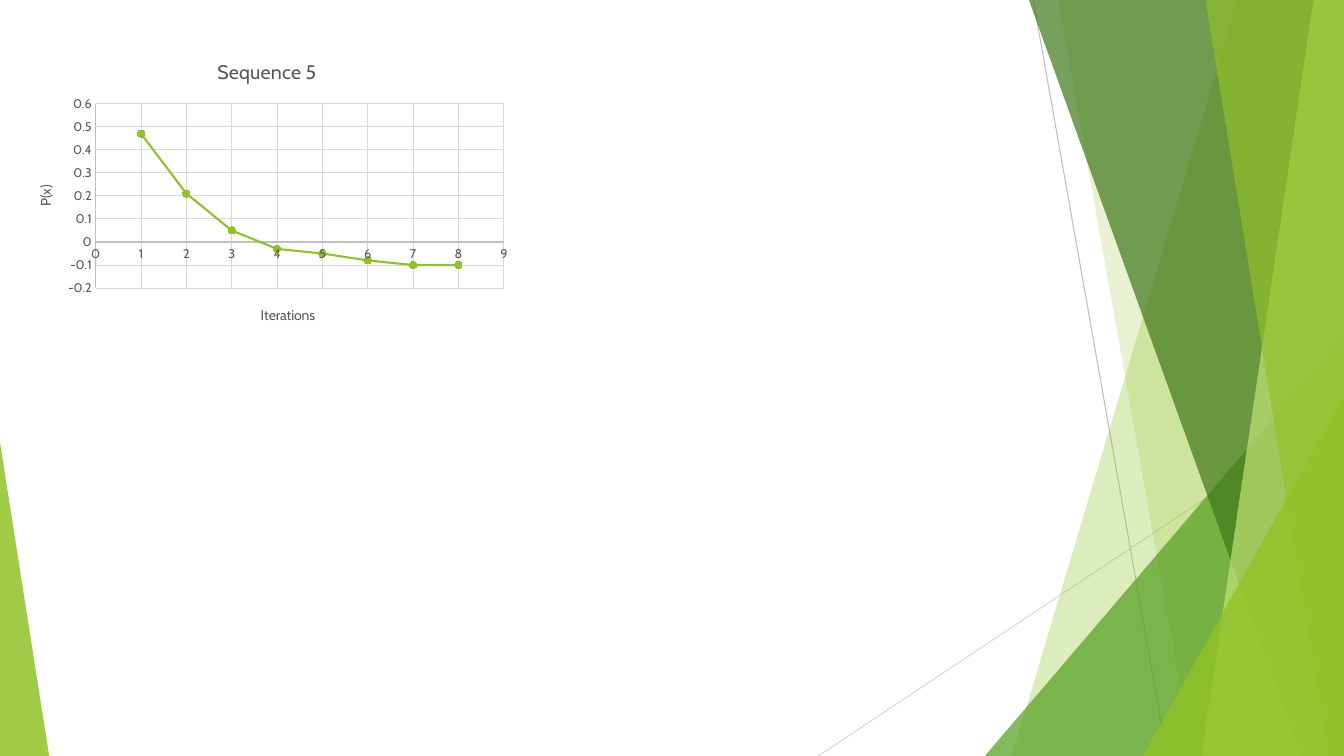
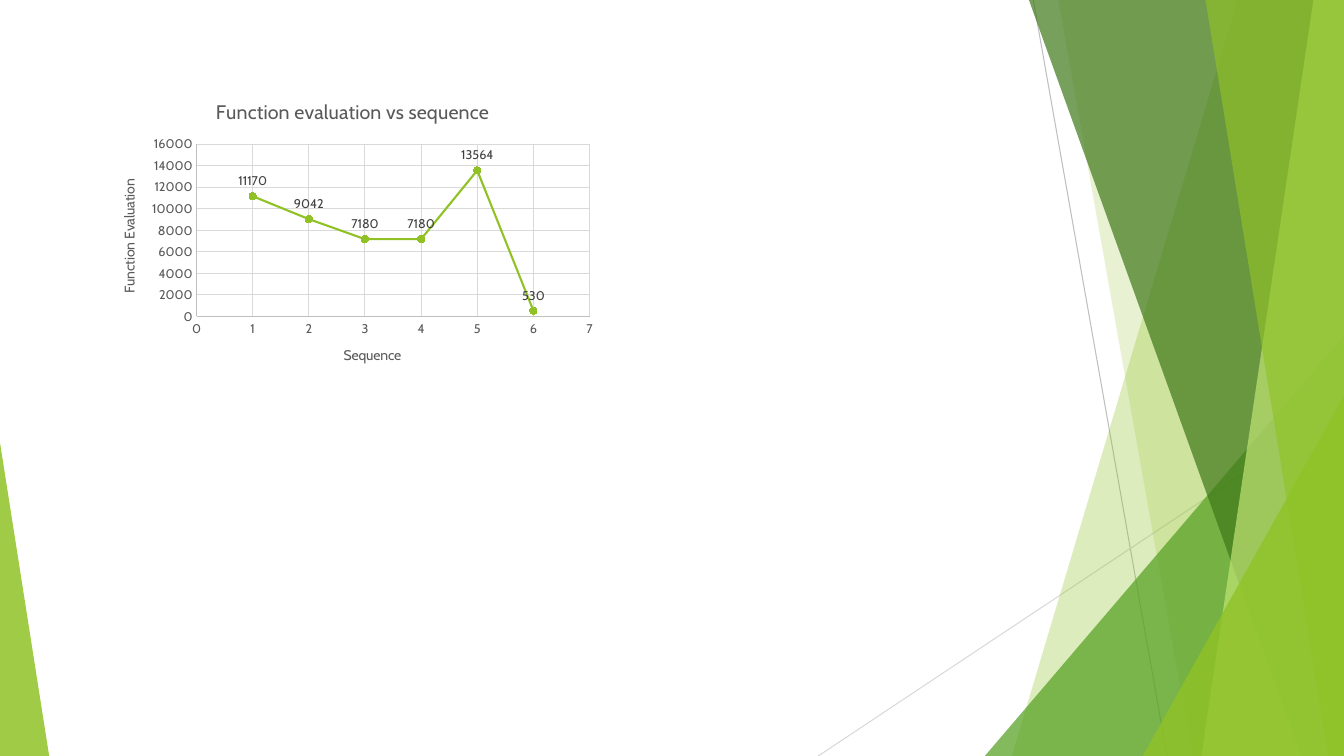
from dataclasses import dataclass

from lxml import etree
from pptx import Presentation
from pptx.chart.axis import ValueAxis
from pptx.chart.chart import Chart
from pptx.chart.data import XyChartData
from pptx.dml.color import RGBColor
from pptx.enum.chart import XL_CHART_TYPE as ChartType
from pptx.enum.chart import XL_LABEL_POSITION as LabelPosition
from pptx.enum.chart import XL_MARKER_STYLE as MarkerStyle
from pptx.enum.chart import XL_TICK_MARK as TickMark
from pptx.enum.shapes import MSO_CONNECTOR as Connector
from pptx.enum.shapes import MSO_SHAPE as Preset
from pptx.oxml.ns import qn
from pptx.slide import Slide, SlideLayout
from pptx.util import Cm, Pt

WIDTH, HEIGHT = 33.87, 19.05  # slide size in cm


# Theme
@dataclass(frozen=True)
class Theme:
    font: str = "Cabin"
    lime: str = "90C226"
    pale_lime: str = "C0E474"
    green: str = "54A021"
    dark_green: str = "3F7819"
    axis: str = "BFBFBF"
    grid: str = "D9D9D9"
    text: str = "595959"
    label: str = "404040"
    title_size: float = 14
    axis_title_size: float = 10
    tick_size: float = 9
    hairline: float = 0.75
    curve: float = 1.5
    marker: int = 5


THEME = Theme()


# Repeated elements, lengths in cm
@dataclass(frozen=True)
class Ray:
    start: tuple[float, float]
    end: tuple[float, float]
    color: str


@dataclass(frozen=True)
class Facet:
    """Full-height panel from a slanted left side to the right slide edge."""
    top_x: float
    bottom_x: float
    color: str
    opacity: int


@dataclass(frozen=True)
class Wedge:
    """Right triangle standing on the bottom slide edge."""
    left: float
    top: float
    width: float
    apex: float
    color: str
    opacity: int


@dataclass(frozen=True)
class AxisScale:
    title: str
    low: float
    high: float
    step: float


@dataclass(frozen=True)
class PlotBox:
    """Inner plot area as fractions of the chart."""
    x: float
    y: float
    w: float
    h: float


@dataclass(frozen=True)
class CurveChart:
    title: str
    left: float
    top: float
    x_axis: AxisScale
    y_axis: AxisScale
    plot_box: PlotBox
    values: tuple[float, ...]
    labelled: bool = False


RAYS = (
    Ray((26.04, 0), (29.41, HEIGHT), THEME.axis),
    Ray((WIDTH, 10.24), (20.62, HEIGHT), THEME.grid),
)
PANELS = (
    Facet(31.19, 25.5, THEME.lime, 30),
    Facet(26.67, 30.05, THEME.lime, 20),
    Wedge(24.82, 8.46, 9.05, 1, THEME.green, 72),
    Facet(25.93, 32.79, THEME.dark_green, 70),
    Facet(33.1, 30.28, THEME.pale_lime, 70),
    Facet(30.38, 33.48, THEME.lime, 65),
    Wedge(28.8, 9.98, 5.07, 1, THEME.lime, 80),
    Wedge(0, 11.15, 1.24, 0, THEME.lime, 85),
)
CHART_WIDTH, CHART_HEIGHT = 12.7, 7.62
CHARTS = (
    CurveChart(
        "Sequence 5", 0.38, 1.09,
        AxisScale("Iterations", 0, 9, 1),
        AxisScale("P(x)", -0.2, 0.6, 0.1),
        PlotBox(0.16, 0.2, 0.81, 0.61),
        (0.47, 0.21, 0.05, -0.03, -0.05, -0.08, -0.1, -0.1),
    ),
    CurveChart(
        "Function evaluation vs sequence", 2.54, 2.11,
        AxisScale("Sequence", 0, 7, 1),
        AxisScale("Function Evaluation", 0, 16000, 2000),
        PlotBox(0.19, 0.2, 0.78, 0.57),
        (11170, 9042, 7180, 7180, 13564, 530),
        labelled=True,
    ),
)


def rgb(color: str) -> RGBColor:
    return RGBColor.from_string(color)


# Background
def draw_ray(slide: Slide, ray: Ray):
    line = slide.shapes.add_connector(
        Connector.STRAIGHT, *(Cm(v) for v in ray.start + ray.end))
    style_line(line.line, ray.color, THEME.hairline)
    etree.SubElement(line.element.spPr, qn("a:effectLst"))
    return line


def draw_panel(slide: Slide, panel: Facet | Wedge):
    if isinstance(panel, Facet):
        outline = slide.shapes.build_freeform(Cm(panel.top_x), 0)
        corners = ((WIDTH, 0), (WIDTH, HEIGHT), (panel.bottom_x, HEIGHT))
        outline.add_line_segments([(Cm(x), Cm(y)) for x, y in corners])
        shape = outline.convert_to_shape()
    else:
        shape = slide.shapes.add_shape(
            Preset.ISOSCELES_TRIANGLE, Cm(panel.left), Cm(panel.top),
            Cm(panel.width), Cm(HEIGHT - panel.top))
        shape.adjustments[0] = panel.apex
    shape.shadow.inherit = False
    shape.line.fill.background()
    shape.fill.solid()
    shape.fill.fore_color.rgb = rgb(panel.color)
    tint = shape.element.spPr.find(".//" + qn("a:srgbClr"))
    etree.SubElement(tint, qn("a:alpha"), val=str(panel.opacity * 1000))
    return shape


def decorate_layout(layout: SlideLayout, slide: Slide) -> None:
    """Draw the background on a slide, then move it to the shared layout."""
    tree = layout.element.cSld.spTree
    for placeholder in list(layout.placeholders):
        tree.remove(placeholder.element)
    backdrop = [draw_ray(slide, ray) for ray in RAYS]
    backdrop += [draw_panel(slide, panel) for panel in PANELS]
    for part in backdrop:
        tree.append(part.element)


# Charts
def style_line(line, color: str, width: float) -> None:
    line.color.rgb = rgb(color)
    line.width = Pt(width)


def style_font(font, size: float, color: str) -> None:
    font.name = THEME.font
    font.size = Pt(size)
    font.bold = False
    font.color.rgb = rgb(color)


def write_title(title, text: str, size: float) -> None:
    run = title.text_frame.paragraphs[0].add_run()
    run.text = text
    style_font(run.font, size, THEME.text)


def style_axis(axis: ValueAxis, scale: AxisScale) -> None:
    axis.minimum_scale, axis.maximum_scale = scale.low, scale.high
    axis.major_unit = scale.step
    axis.major_tick_mark = axis.minor_tick_mark = TickMark.NONE
    axis.has_major_gridlines = True
    style_line(axis.major_gridlines.format.line, THEME.grid, THEME.hairline)
    style_line(axis.format.line, THEME.axis, THEME.hairline)
    style_font(axis.tick_labels.font, THEME.tick_size, THEME.text)
    axis.tick_labels.number_format = "General"
    axis.tick_labels.number_format_is_linked = False
    write_title(axis.axis_title, scale.title, THEME.axis_title_size)


def place_plot(chart: Chart, box: PlotBox) -> None:
    plot_area = chart.element.chart.plotArea
    for old in plot_area.findall(qn("c:layout")):
        plot_area.remove(old)
    layout = etree.Element(qn("c:layout"))
    plot_area.insert(0, layout)
    manual = etree.SubElement(layout, qn("c:manualLayout"))
    settings = {"layoutTarget": "inner", "xMode": "edge", "yMode": "edge",
                "x": box.x, "y": box.y, "w": box.w, "h": box.h}
    for tag, value in settings.items():
        etree.SubElement(manual, qn(f"c:{tag}"), val=str(value))


def style_curve(chart: Chart, content: CurveChart) -> None:
    curve = chart.plots[0].series[0]
    curve.smooth = False
    style_line(curve.format.line, THEME.lime, THEME.curve)
    curve.marker.style = MarkerStyle.CIRCLE
    curve.marker.size = THEME.marker
    curve.marker.format.fill.solid()
    curve.marker.format.fill.fore_color.rgb = rgb(THEME.lime)
    style_line(curve.marker.format.line, THEME.lime, THEME.hairline)
    if content.labelled:
        for index in range(len(content.values)):
            label = curve.points[index].data_label
            style_font(label.font, THEME.tick_size, THEME.label)
            label.position = LabelPosition.ABOVE


def draw_chart(slide: Slide, content: CurveChart) -> None:
    data = XyChartData()
    points = data.add_series("Series 1")
    for x, y in enumerate(content.values, start=1):
        points.add_data_point(x, y)
    chart = slide.shapes.add_chart(
        ChartType.XY_SCATTER_LINES, Cm(content.left), Cm(content.top),
        Cm(CHART_WIDTH), Cm(CHART_HEIGHT), data).chart
    style_font(chart.font, THEME.axis_title_size, THEME.text)
    chart.has_legend = False
    chart.plots[0].vary_by_categories = False
    write_title(chart.chart_title, content.title, THEME.title_size)
    style_axis(chart.category_axis, content.x_axis)
    style_axis(chart.value_axis, content.y_axis)
    upright = chart.value_axis.axis_title.element.find(".//" + qn("a:bodyPr"))
    upright.set("rot", "-5400000")
    upright.set("vert", "horz")
    place_plot(chart, content.plot_box)
    style_curve(chart, content)


def main() -> None:
    deck = Presentation()
    deck.slide_width, deck.slide_height = Cm(WIDTH), Cm(HEIGHT)
    blank = deck.slide_layouts[6]
    slides = [deck.slides.add_slide(blank) for _ in CHARTS]
    decorate_layout(blank, slides[0])
    for slide, content in zip(slides, CHARTS):
        draw_chart(slide, content)
    deck.save("out.pptx")


if __name__ == "__main__":
    main()
